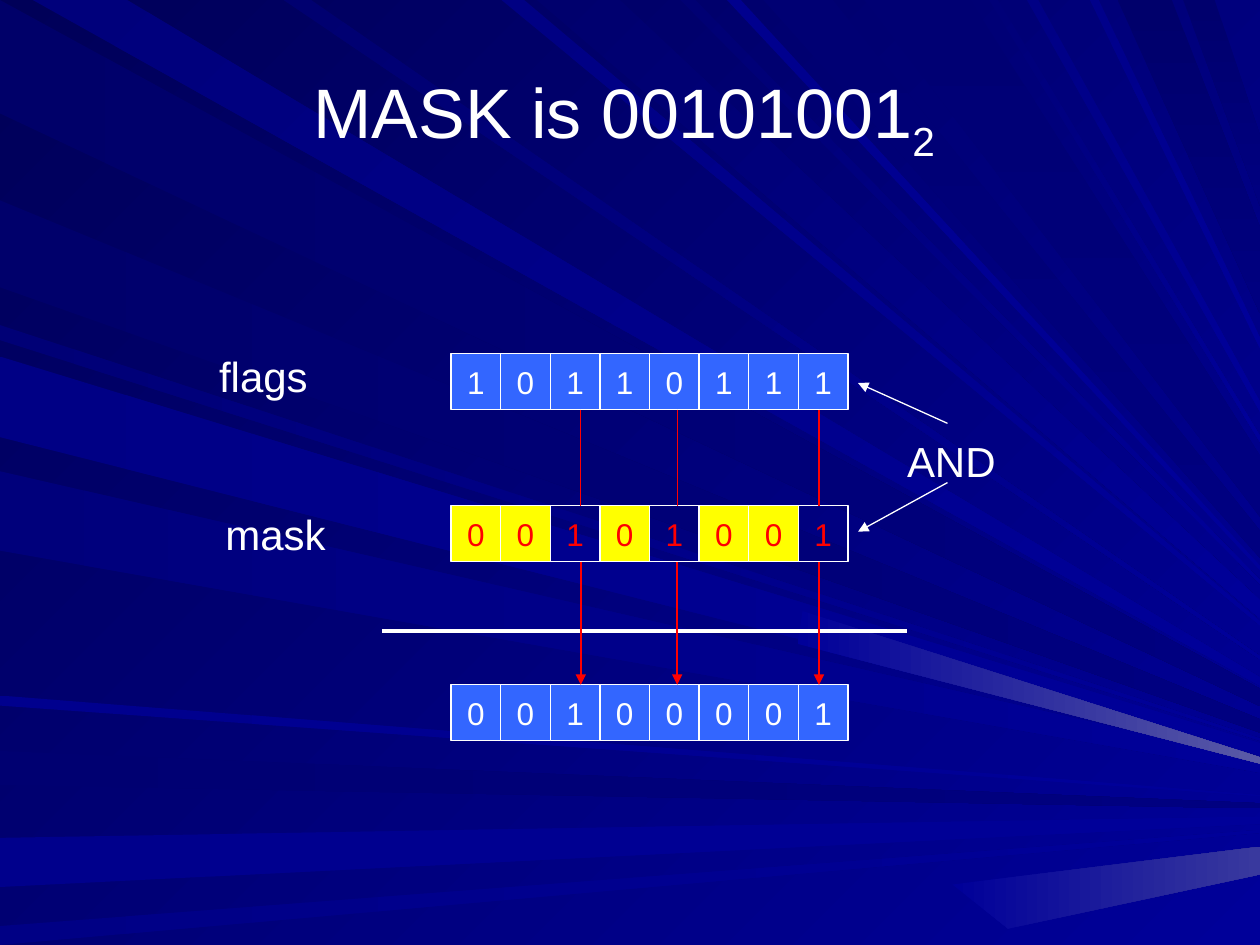
from dataclasses import dataclass

from lxml.etree import SubElement
from pptx import Presentation
from pptx.dml.color import RGBColor
from pptx.enum.shapes import MSO_CONNECTOR, MSO_SHAPE
from pptx.enum.text import MSO_ANCHOR, PP_ALIGN
from pptx.oxml.ns import qn
from pptx.util import Inches, Pt


@dataclass(frozen=True)
class Theme:
    font: str = "Arial"
    text: str = "FFFFFF"
    bit_fill: str = "3366FF"
    mask_fill: str = "FFFF00"
    accent: str = "FF0000"
    night: str = "000058"
    dusk: str = "000080"
    glow: str = "000099"
    highlight: str = "5A5AA6"
    soft_highlight: str = "39399E"
    title_size: int = 40
    label_size: int = 24
    bit_size: int = 18
    thin: float = 0.75
    medium: float = 1
    thick: float = 2.25


@dataclass(frozen=True)
class Box:
    left: float
    top: float
    width: float
    height: float


THEME = Theme()
SLIDE_WIDTH, SLIDE_HEIGHT = Inches(10), Inches(7.5)
COLUMNS, ROWS = 100, 75
COLUMN, ROW = SLIDE_WIDTH / COLUMNS, SLIDE_HEIGHT / ROWS
RAY_HUB = (118, 64.5)

LEFT_RAYS = [
    (0, 9, "000069", THEME.dusk),
    (59.6, 62.3, "000071", THEME.dusk),
    (66.5, 70.4, "00008C", THEME.glow),
    (73.5, 75, "000085", THEME.glow),
    (25.8, 27, "000076", THEME.glow),
    (15.9, 22.8, "00006B", THEME.dusk),
    (37.4, 43.7, "00007B", THEME.glow),
    (55.2, 56, "00008E", THEME.glow),
    (28.3, 34.7, "000085", THEME.glow),
]
TOP_RAYS = [
    (2.6, 10.1, "00007B", THEME.glow),
    (39.8, 41.6, "000083", THEME.glow),
    (42.6, 49.2, "00006D", THEME.glow),
    (54, 55.2, "000073", THEME.glow),
    (60.6, 66.1, "000073", THEME.dusk),
    (88.7, 93, "00006B", THEME.dusk),
    (93.9, 96.4, "00006D", THEME.dusk),
    (22.5, 24.7, "000070", THEME.glow),
    (57.7, 58.8, "00008E", THEME.glow),
    (68.6, 77, "000073", THEME.dusk),
    (78.5, 79.2, "000078", THEME.glow),
    (81.5, 82.4, "000085", THEME.glow),
    (86.5, 87.2, "00008A", THEME.glow),
]
HIGHLIGHTS = [
    (THEME.highlight, [(63.7, 48.5), (63.3, 51.1), (100, 60.6), (100, 60.1)]),
    (THEME.soft_highlight, [(75.6, 70.2), (80, 73.7), (100, 69.4), (100, 67.2)]),
]


def color(value):
    return RGBColor.from_string(value)


def place(box):
    return (round(box.left * COLUMN), round(box.top * ROW),
            round(box.width * COLUMN), round(box.height * ROW))


def paint(fill, start, end, angle):
    fill.gradient()
    fill.gradient_angle = -angle % 360
    for stop, value, position in zip(fill.gradient_stops, (start, end), (0, 1)):
        stop.color.rgb = color(value)
        stop.position = position


def style(paragraph, size, value):
    paragraph.font.name = THEME.font
    paragraph.font.size = Pt(size)
    paragraph.font.color.rgb = color(value)


def at_right_edge(point):
    share = (COLUMNS - point[0]) / (RAY_HUB[0] - point[0])
    return COLUMNS, point[1] + (RAY_HUB[1] - point[1]) * share


def add_ray(slide, points, start, end, angle):
    scaled = [(round(x * COLUMN), round(y * ROW)) for x, y in points]
    builder = slide.shapes.build_freeform(*scaled[0])
    builder.add_line_segments(scaled[1:], close=True)
    ray = builder.convert_to_shape()
    ray.shadow.inherit = False
    ray.line.fill.background()
    paint(ray.fill, start, end, angle)


def add_backdrop(slide):
    paint(slide.background.fill, THEME.night, THEME.glow, 45)
    for first, last, start, end in LEFT_RAYS:
        near, far = (0, first), (0, last)
        add_ray(slide, [near, far, at_right_edge(far), at_right_edge(near)], start, end, 0)
    for first, last, start, end in TOP_RAYS:
        near, far = (first, 0), (last, 0)
        angle = 90 if end == THEME.dusk else 45
        add_ray(slide, [near, far, at_right_edge(far), at_right_edge(near)], start, end, angle)
    for value, points in HIGHLIGHTS:
        add_ray(slide, points, THEME.glow, value, 0)


def add_title(slide, box):
    frame = slide.shapes.add_textbox(*place(box)).text_frame
    frame.word_wrap = True
    frame.vertical_anchor = MSO_ANCHOR.MIDDLE
    paragraph = frame.paragraphs[0]
    paragraph.alignment = PP_ALIGN.CENTER
    style(paragraph, THEME.title_size, THEME.text)
    paragraph.add_run().text = "MASK is 00101001"
    subscript = paragraph.add_run()
    subscript.text = "2 "
    subscript._r.get_or_add_rPr().set("baseline", "-25000")


def add_label(slide, text, box):
    frame = slide.shapes.add_textbox(*place(box)).text_frame
    frame.word_wrap = False
    frame.text = text
    style(frame.paragraphs[0], THEME.label_size, THEME.text)


def add_bits(slide, bits, box, fills, text_color):
    width = box.width / len(bits)
    for index, bit in enumerate(bits):
        cell_box = Box(box.left + index * width, box.top, width, box.height)
        cell = slide.shapes.add_shape(MSO_SHAPE.RECTANGLE, *place(cell_box))
        cell.shadow.inherit = False
        cell.line.color.rgb = color(THEME.text)
        cell.line.width = Pt(THEME.thin)
        if fills[bit]:
            cell.fill.solid()
            cell.fill.fore_color.rgb = color(fills[bit])
        else:
            cell.fill.background()
        frame = cell.text_frame
        frame.word_wrap = False
        frame.vertical_anchor = MSO_ANCHOR.MIDDLE
        frame.text = bit
        frame.paragraphs[0].alignment = PP_ALIGN.CENTER
        style(frame.paragraphs[0], THEME.bit_size, text_color)


def add_line(slide, start, end, value, width, arrow=False):
    points = [round(length * unit) for point in (start, end)
              for length, unit in zip(point, (COLUMN, ROW))]
    connector = slide.shapes.add_connector(MSO_CONNECTOR.STRAIGHT, *points)
    connector.line.color.rgb = color(value)
    connector.line.width = Pt(width)
    properties = connector._element.spPr
    if arrow:
        SubElement(properties.find(qn("a:ln")), qn("a:tailEnd"), type="triangle")
    SubElement(properties, qn("a:effectLst"))


def add_operator(slide, box):
    add_label(slide, "AND", box)
    start, tip = box.left + 4.2, box.left - 2.9
    for start_drop, tip_drop in ((-0.5, -3.7), (4.2, 8.1)):
        add_line(slide, (start, box.top + start_drop), (tip, box.top + tip_drop),
                 THEME.text, THEME.thin, True)


def add_masking(slide, box):
    height = 4.45
    flags_top, mask_top, result_top = box.top, box.top + 12.1, box.top + box.height - height
    plain = {bit: THEME.bit_fill for bit in "01"}
    masked = {"0": THEME.mask_fill, "1": None}
    for bits, top, fills, text_color in (
        ("10110111", flags_top, plain, THEME.text),
        ("00101001", mask_top, masked, THEME.accent),
        ("00100001", result_top, plain, THEME.text),
    ):
        add_bits(slide, bits, Box(box.left, top, box.width, height), fills, text_color)
    add_line(slide, (30.3, 50.1), (72, 50.1), THEME.text, THEME.thick)
    for x in (46.1, 53.75, 65):
        add_line(slide, (x, mask_top + height), (x, result_top), THEME.accent, THEME.medium, True)
        add_line(slide, (x, flags_top + height), (x, mask_top), THEME.accent, THEME.thin)


def main():
    presentation = Presentation()
    presentation.slide_width, presentation.slide_height = SLIDE_WIDTH, SLIDE_HEIGHT
    slide = presentation.slides.add_slide(presentation.slide_layouts[6])
    add_backdrop(slide)
    add_title(slide, Box(5, 3, 90, 12.5))
    add_label(slide, "flags", Box(16.4, 27.3, 9.1, 5))
    add_label(slide, "mask", Box(16.9, 39.9, 10, 5))
    add_masking(slide, Box(35.8, 28.05, 31.5, 30.75))
    add_operator(slide, Box(71, 34.1, 9.1, 5))
    presentation.save("out.pptx")


if __name__ == "__main__":
    main()
